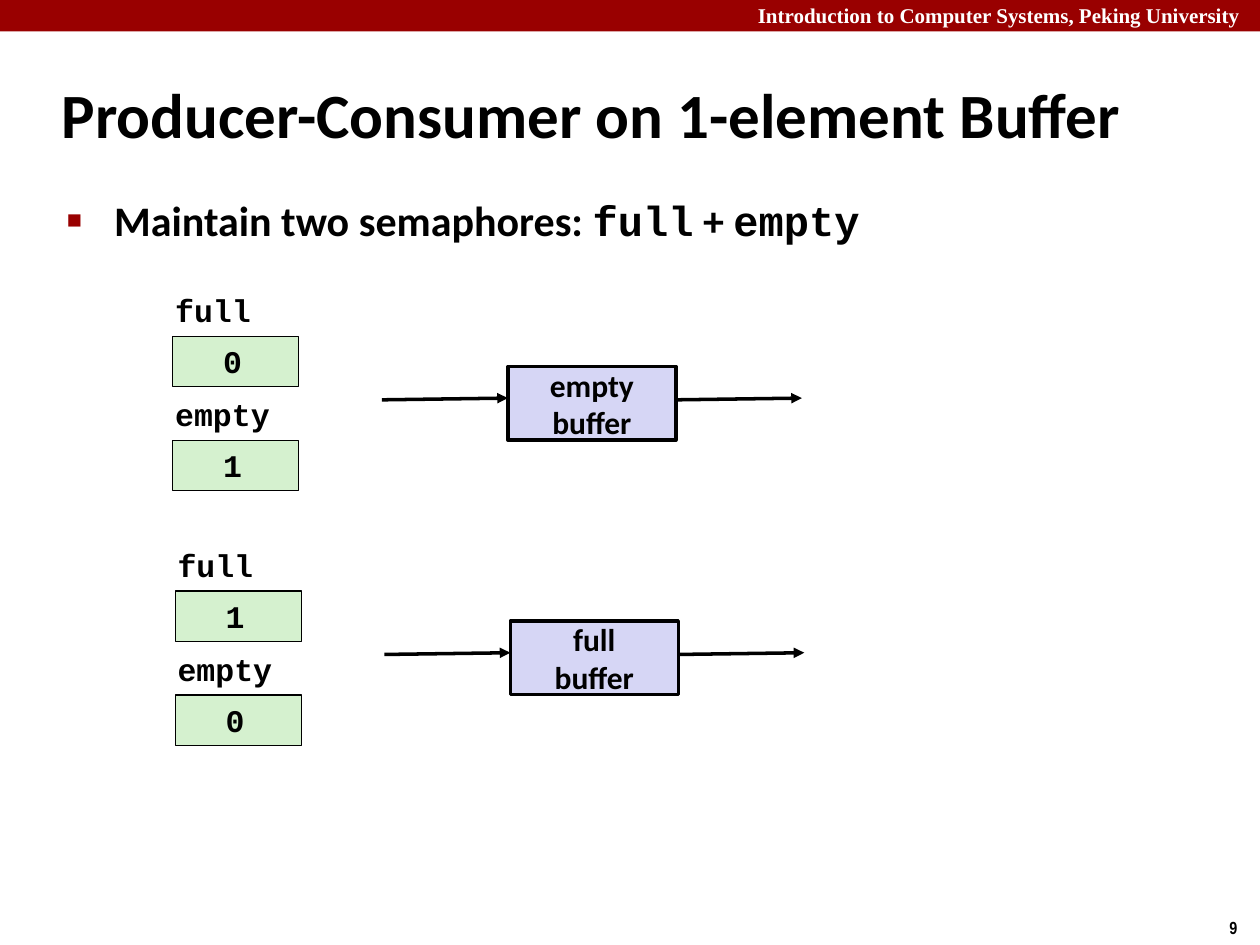
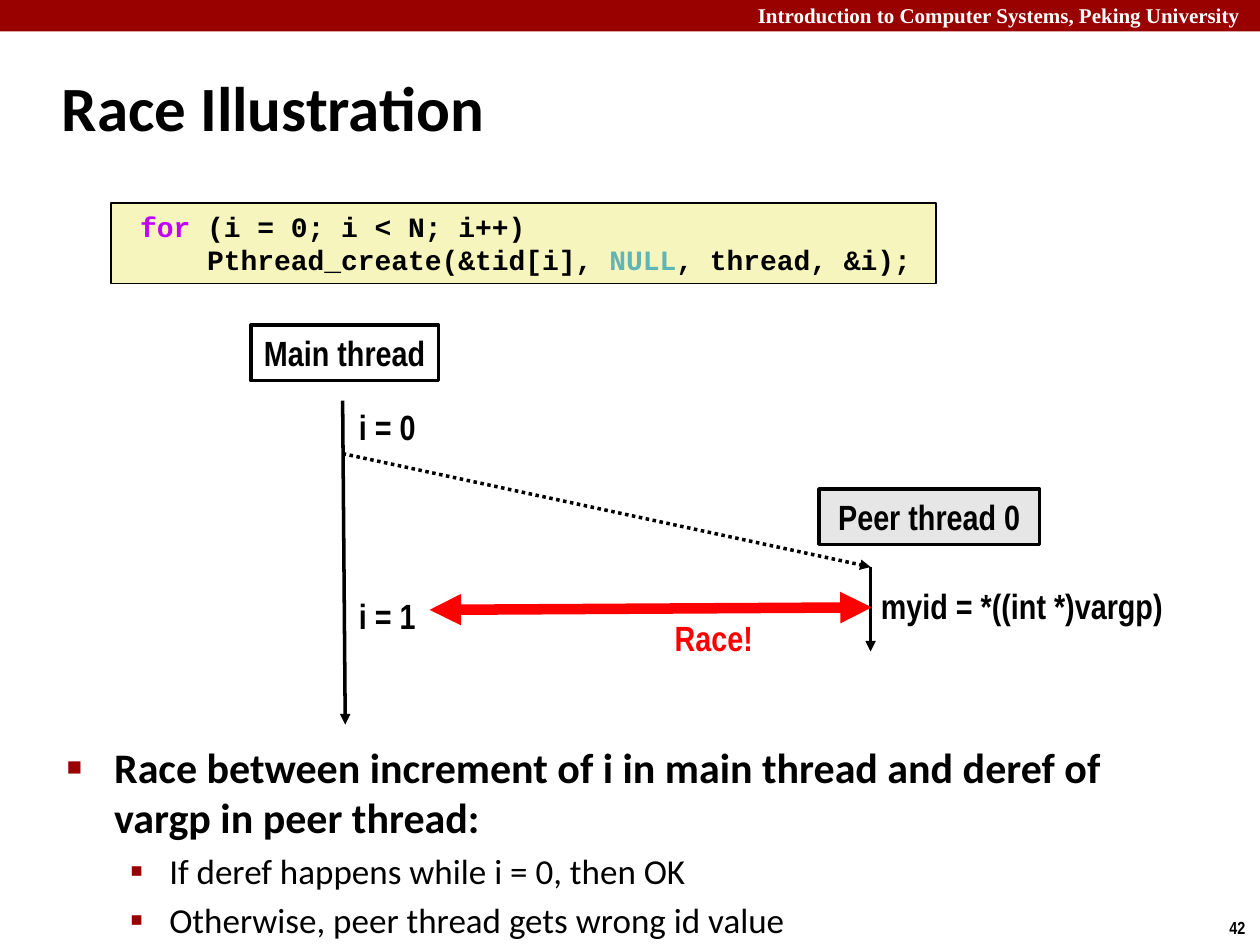
from lxml import etree
from pptx import Presentation
from pptx.dml.color import RGBColor
from pptx.enum import dml, shapes, text
from pptx.oxml import ns
from pptx.util import Pt

COLORS = {
    "band": "990000", "paper": "FFFFFF", "ink": "000000", "buffer": "D6D6F5",
    "semaphore": "D5F1CF", "code": "F6F5BD", "keyword": "C200FF",
    "constant": "61B6B4", "peer": "E6E6E6", "race": "FF0000",
}
SANS, MONO, NARROW, SERIF = "Calibri", "Courier New", "Arial Narrow", "Times New Roman"
LEFT, CENTER = text.PP_ALIGN.LEFT, text.PP_ALIGN.CENTER
TOP, MIDDLE = text.MSO_ANCHOR.TOP, text.MSO_ANCHOR.MIDDLE
BULLETS = [
    {"char": "■", "percent": 60, "left": 27, "hang": 27, "size": 24, "bold": True},
    {"char": "▪", "percent": 110, "left": 58.5, "hang": 22.5, "size": 20, "bold": False},
]


def rgb(name):
    return RGBColor.from_string(COLORS[name])


def add_element(parent, tag, **attributes):
    return etree.SubElement(parent, ns.qn(tag), attributes)


def add_runs(paragraph, runs, face, size, color="ink", bold=True):
    for run_spec in runs:
        wording, changes = (run_spec, {}) if isinstance(run_spec, str) else run_spec
        run = paragraph.add_run()
        run.text = wording
        run.font.name = changes.get("face", face)
        run.font.size = Pt(size)
        run.font.bold = bold
        run.font.color.rgb = rgb(changes.get("color", color))


def write_lines(frame, lines, face, size, color="ink", align=LEFT):
    for number, runs in enumerate(lines):
        paragraph = frame.add_paragraph() if number else frame.paragraphs[0]
        paragraph.alignment = align
        add_runs(paragraph, runs, face, size, color)


def add_label(parts, box, wording, face, size, color="ink", align=LEFT):
    label = parts.add_textbox(*map(Pt, box))
    label.text_frame.word_wrap = False
    label.text_frame.auto_size = text.MSO_AUTO_SIZE.SHAPE_TO_FIT_TEXT
    write_lines(label.text_frame, [[wording]], face, size, color, align)


def add_box(parts, box, fill=None, weight=0):
    panel = parts.add_shape(shapes.MSO_SHAPE.RECTANGLE, *map(Pt, box))
    panel.shadow.inherit = False
    if fill:
        panel.fill.solid()
        panel.fill.fore_color.rgb = rgb(fill)
    else:
        panel.fill.background()
    if weight:
        panel.line.color.rgb = rgb("ink")
        panel.line.width = Pt(weight)
    else:
        panel.line.fill.background()
    panel.text_frame.word_wrap = False
    return panel


def add_text_box(parts, box, fill, weight, lines, face, size, align=CENTER, anchor=MIDDLE):
    panel = add_box(parts, box, fill, weight)
    panel.text_frame.vertical_anchor = anchor
    write_lines(panel.text_frame, lines, face, size, align=align)
    return panel


def add_arrow(parts, start, end, color="ink", weight=2, dotted=False, both_ways=False):
    arrow = parts.add_connector(shapes.MSO_CONNECTOR.STRAIGHT, *map(Pt, (*start, *end)))
    arrow.line.color.rgb = rgb(color)
    arrow.line.width = Pt(weight)
    if dotted:
        arrow.line.dash_style = dml.MSO_LINE.ROUND_DOT
    properties = arrow._element.spPr
    outline = properties.find(ns.qn("a:ln"))
    if both_ways:
        add_element(outline, "a:headEnd", type="triangle")
    add_element(outline, "a:tailEnd", type="triangle")
    add_element(properties, "a:effectLst")


def place(placeholder, box):
    placeholder.left, placeholder.top, placeholder.width, placeholder.height = map(Pt, box)
    frame = placeholder.text_frame
    frame.word_wrap = True
    frame.auto_size = text.MSO_AUTO_SIZE.NONE
    return frame


def write_bullets(body, box, items):
    frame = place(body, box)
    frame.vertical_anchor = TOP
    for number, (level, runs) in enumerate(items):
        style = BULLETS[level]
        paragraph = frame.add_paragraph() if number else frame.paragraphs[0]
        paragraph.level = level
        properties = paragraph._p.get_or_add_pPr()
        properties.set("marL", str(Pt(style["left"])))
        properties.set("indent", str(-Pt(style["hang"])))
        bullet_color = add_element(properties, "a:buClr")
        add_element(bullet_color, "a:srgbClr", val=COLORS["band"])
        add_element(properties, "a:buSzPct", val=str(style["percent"] * 1000))
        add_element(properties, "a:buChar", char=style["char"])
        paragraph.alignment = LEFT
        paragraph.space_before = Pt(style["size"] * 0.2 if number else 0)
        add_runs(paragraph, runs, SANS, style["size"], bold=style["bold"])


def add_course_slide(deck, heading, heading_box, page):
    slide = deck.slides.add_slide(deck.slide_layouts[1])
    slide.background.fill.solid()
    slide.background.fill.fore_color.rgb = rgb("paper")
    add_box(slide.shapes, (0, 0, 720, 18), "band")
    add_label(slide.shapes, (426, -2, 299, 21.6),
              "Introduction to Computer Systems, Peking University", SERIF, 12, "paper")
    add_label(slide.shapes, (695.5, 520.5, 24.5, 19.4), page, NARROW, 10)
    frame = place(slide.shapes.title, heading_box)
    frame.vertical_anchor = MIDDLE
    write_lines(frame, [[heading]], SANS, 36)
    return slide


def draw_semaphores(slide, left, top, counts):
    parts = slide.shapes.add_group_shape().shapes
    for row, (semaphore, count) in enumerate(counts.items()):
        y = top + row * 59.4
        add_label(parts, (left, y, 14.4 + 10.8 * len(semaphore), 28.8), semaphore, MONO, 18)
        counter = add_text_box(parts, (left + 5.76, y + 29.4, 72, 28.8), "semaphore", 0.75,
                               [[count]], MONO, 18, LEFT, TOP)
        counter.text_frame.margin_left = Pt(28.8)


def draw_buffer(slide, left, top, state):
    parts = slide.shapes.add_group_shape().shapes
    reach, width = 72, 96
    buffer = add_text_box(parts, (left + reach, top, width, 42), "buffer", 2,
                          [[state], ["buffer"]], SANS, 18)
    buffer.text_frame.margin_top = buffer.text_frame.margin_bottom = 0
    for x in (left, left + reach + width):
        add_arrow(parts, (x, top + 19), (x + reach, top + 18))


def build_producer_consumer(deck):
    slide = add_course_slide(deck, "Producer-Consumer on 1-element Buffer",
                             (28, 34.5, 650, 60), "9")
    write_bullets(slide.placeholders[1], (31, 107.5, 622, 391.5), [
        (0, ["Maintain two semaphores: ", ("full", {"face": MONO}), " + ",
             ("empty", {"face": MONO})]),
    ])
    states = [("empty", {"full": "0", "empty": "1"}), ("full", {"full": "1", "empty": "0"})]
    for step, (state, counts) in enumerate(states):
        left, top = 93 + step * 1.4, 162.8 + step * 145.5
        draw_semaphores(slide, left, top, counts)
        draw_buffer(slide, left + 125.2, top + 46.7, state)


def draw_thread_code(slide, left, top):
    add_text_box(slide.shapes, (left, top, 471.6, 46), "code", 1, [
        [" ", ("for", {"color": "keyword"}), " (i = 0; i < N; i++)"],
        ["     Pthread_create(&tid[i], ", ("NULL", {"color": "constant"}), ", thread, &i);"],
    ], MONO, 16, LEFT, TOP)


def draw_race(slide, left, top):
    parts = slide.shapes
    main_x, peer_x = left + 52.5, left + 354.2
    add_text_box(parts, (left, top, 107.3, 31.7), None, 2, [["Main thread"]], NARROW, 20)
    add_text_box(parts, (left + 324.7, top + 93.6, 126, 31.7), "peer", 2,
                 [["Peer thread 0"]], NARROW, 20)
    add_arrow(parts, (main_x, top + 43.2), (main_x + 1.5, top + 228.2))
    add_arrow(parts, (peer_x, top + 138.2), (peer_x, top + 186.5))
    add_arrow(parts, (main_x, top + 73.4), (peer_x, top + 138.2), dotted=True)
    for wording, drop in (("i = 0", 42.5), ("i = 1", 150.5)):
        add_label(parts, (main_x + 2.2, top + drop, 47.5, 31.7), wording, NARROW, 20)
    add_label(parts, (peer_x - 1.2, top + 144.7, 176.9, 31.7),
              "myid = *((int *)vargp)", NARROW, 20)
    add_arrow(parts, (main_x + 49.7, top + 162.7), (peer_x + 0.7, top + 161.3),
              "race", 6, both_ways=True)
    add_label(parts, (left + 234.7, top + 162.7, 59.8, 31.7), "Race!", NARROW, 20,
              "race", CENTER)


def build_race_illustration(deck):
    slide = add_course_slide(deck, "Race Illustration", (28, 30.5, 662, 60), "42")
    write_bullets(slide.placeholders[1], (31, 420, 622, 120), [
        (0, ["Race between increment of i in main thread and deref of vargp in peer thread:"]),
        (1, ["If deref happens while i = 0, then OK"]),
        (1, ["Otherwise, peer thread gets wrong id value"]),
    ])
    draw_thread_code(slide, 63.4, 116)
    draw_race(slide, 143.3, 185.8)


def main():
    deck = Presentation()
    deck.slide_width, deck.slide_height = Pt(720), Pt(540)
    build_producer_consumer(deck)
    build_race_illustration(deck)
    deck.save("out.pptx")


if __name__ == "__main__":
    main()
